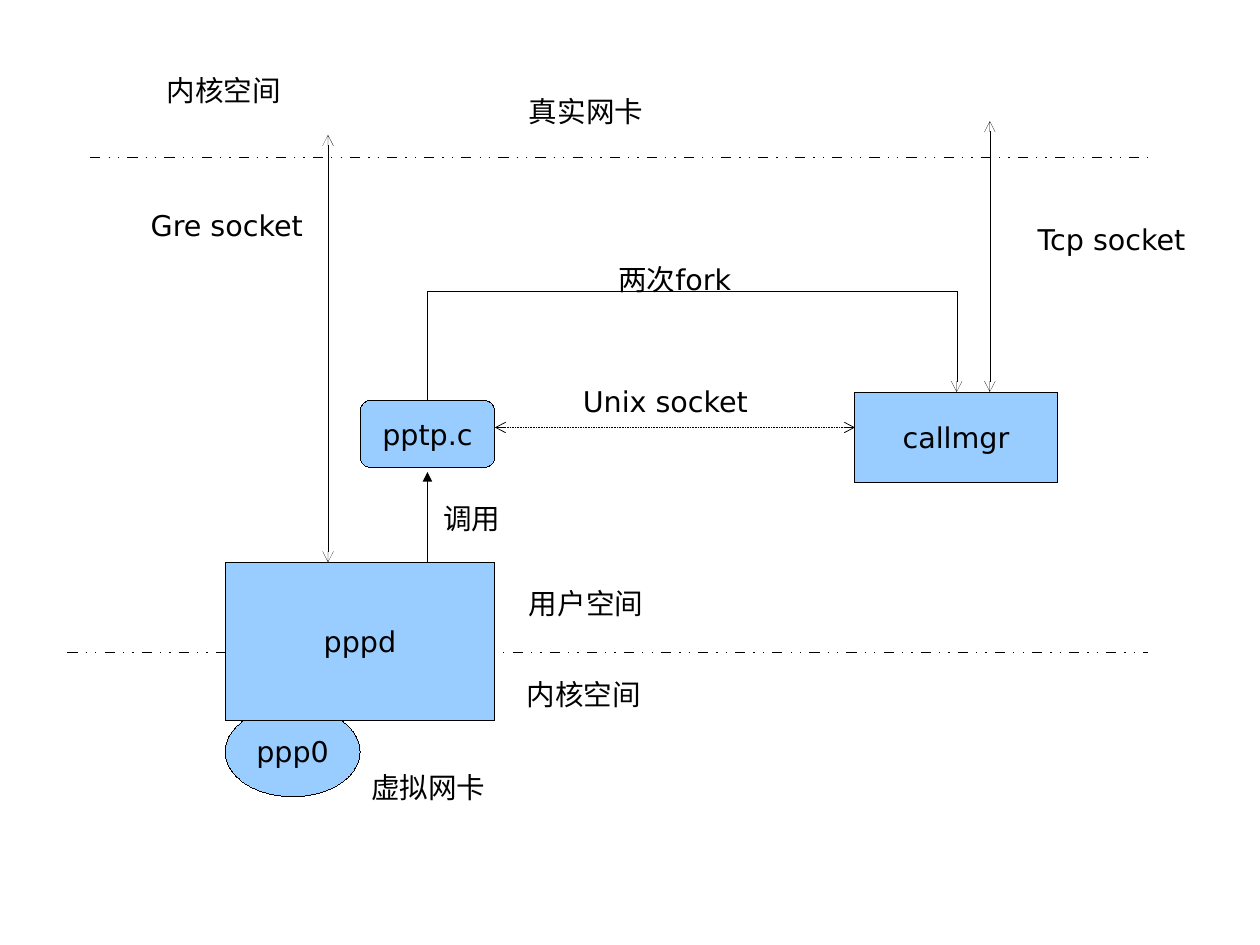
from lxml import etree
from pptx import Presentation
from pptx.dml.color import RGBColor
from pptx.enum import dml, shapes, text
from pptx.oxml import ns
from pptx.util import Inches, Pt

BLACK = RGBColor(0x00, 0x00, 0x00)
BLUE = RGBColor(0x99, 0xCC, 0xFF)
FONT = "DejaVu Sans"
CM_PER_INCH = 2.54
HAIRLINE = 0.01
DASHED_WIDTH = 0.5
# Dash and gap lengths, in thousandths of a percent of the line width
BORDER_DASHES = [(1260000, 1000000), (160000, 1000000), (160000, 1000000)]

LABELS = [
    ("内核空间", 1.36, 0.59, 1.2),
    ("真实网卡", 4.53, 0.77, 1.2),
    ("Gre socket", 1.22, 1.77, 1.53),
    ("Tcp socket", 8.98, 1.89, 1.52),
    ("两次fork", 5.31, 2.24, 1.25),
    ("Unix socket", 5, 3.31, 1.65),
    ("调用", 3.78, 4.33, 0.7),
    ("用户空间", 4.53, 5.08, 1.2),
    ("内核空间", 4.51, 5.87, 1.2),
    ("虚拟网卡", 3.15, 6.69, 1.2),
]

KIND = shapes.MSO_SHAPE
NODES = [
    ("callmgr", KIND.RECTANGLE, 7.48, 3.43, 1.77, 0.79),
    ("pptp.c", KIND.ROUNDED_RECTANGLE, 3.15, 3.5, 1.18, 0.59),
    ("ppp0", KIND.OVAL, 1.97, 6.18, 1.18, 0.79),
    ("pppd", KIND.RECTANGLE, 1.97, 4.92, 2.36, 1.38),
]


def write(shape, words, align):
    para = shape.text_frame.paragraphs[0]
    para.alignment = align
    span = para.add_run()
    span.text = words
    for name, value in {"name": FONT, "size": Pt(18)}.items():
        setattr(span.font, name, value)
    span.font.color.rgb = BLACK


def add_label(page, words, left, top, width):
    box = page.shapes.add_textbox(*map(Inches, (left, top, width, 0.39)))
    box.text_frame.word_wrap = False
    box.text_frame.auto_size = text.MSO_AUTO_SIZE.SHAPE_TO_FIT_TEXT
    write(box, words, text.PP_ALIGN.LEFT)


def add_node(page, words, kind, *place):
    node = page.shapes.add_shape(kind, *map(Inches, place))
    node.shadow.inherit = False
    node.fill.solid()
    node.fill.fore_color.rgb = BLUE
    style_line(node.line)
    node.text_frame.vertical_anchor = text.MSO_ANCHOR.MIDDLE
    write(node, words, text.PP_ALIGN.CENTER)


def style_line(line, width=HAIRLINE):
    line.color.rgb = BLACK
    line.width = Pt(width)


def add_arrowheads(line, head=None, tail=None):
    """Put arrowheads at the start (head) and the end (tail)."""
    properties = line.line._get_or_add_ln()
    for tag, kind in (("a:headEnd", head), ("a:tailEnd", tail)):
        if kind:
            etree.SubElement(properties, ns.qn(tag), type=kind)


def add_line(page, start, end, width=HAIRLINE):
    line = page.shapes.add_connector(
        shapes.MSO_CONNECTOR.STRAIGHT, *map(Inches, start + end))
    style_line(line.line, width)
    etree.SubElement(line._element.spPr, ns.qn("a:effectLst"))
    return line


def add_border(page, left, level):
    border = add_line(page, (left, level), (10.04, level), DASHED_WIDTH)
    dashes = etree.SubElement(
        border.line._get_or_add_ln(), ns.qn("a:custDash"))
    for length, gap in BORDER_DASHES:
        etree.SubElement(dashes, ns.qn("a:ds"), d=str(length), sp=str(gap))


def add_fork(page):
    corners = [(3.74, 3.5), (3.74, 2.55), (8.37, 2.55), (8.37, 3.43)]
    points = [tuple(map(Inches, corner)) for corner in corners]
    outline = page.shapes.build_freeform(*points[0])
    outline.add_line_segments(points[1:], close=False)
    fork = outline.convert_to_shape()
    fork.shadow.inherit = False
    fork.fill.background()
    style_line(fork.line)
    add_arrowheads(fork, tail="arrow")


def main():
    deck = Presentation()
    deck.slide_width = Inches(28 / CM_PER_INCH)
    deck.slide_height = Inches(21 / CM_PER_INCH)
    page = deck.slides.add_slide(deck.slide_layouts[6])

    add_border(page, 0.79, 1.38)
    add_border(page, 0.59, 5.71)
    for node in NODES:
        add_node(page, *node)

    gre = add_line(page, (2.87, 4.92), (2.87, 1.18))
    tcp = add_line(page, (8.66, 3.43), (8.66, 1.06))
    unix = add_line(page, (4.33, 3.74), (7.48, 3.74), DASHED_WIDTH)
    unix.line.dash_style = dml.MSO_LINE.ROUND_DOT
    for socket in (gre, tcp, unix):
        add_arrowheads(socket, head="arrow", tail="arrow")
    call = add_line(page, (3.74, 4.92), (3.74, 4.13))
    add_arrowheads(call, tail="triangle")
    add_fork(page)

    for label in LABELS:
        add_label(page, *label)
    deck.save("out.pptx")


if __name__ == "__main__":
    main()
